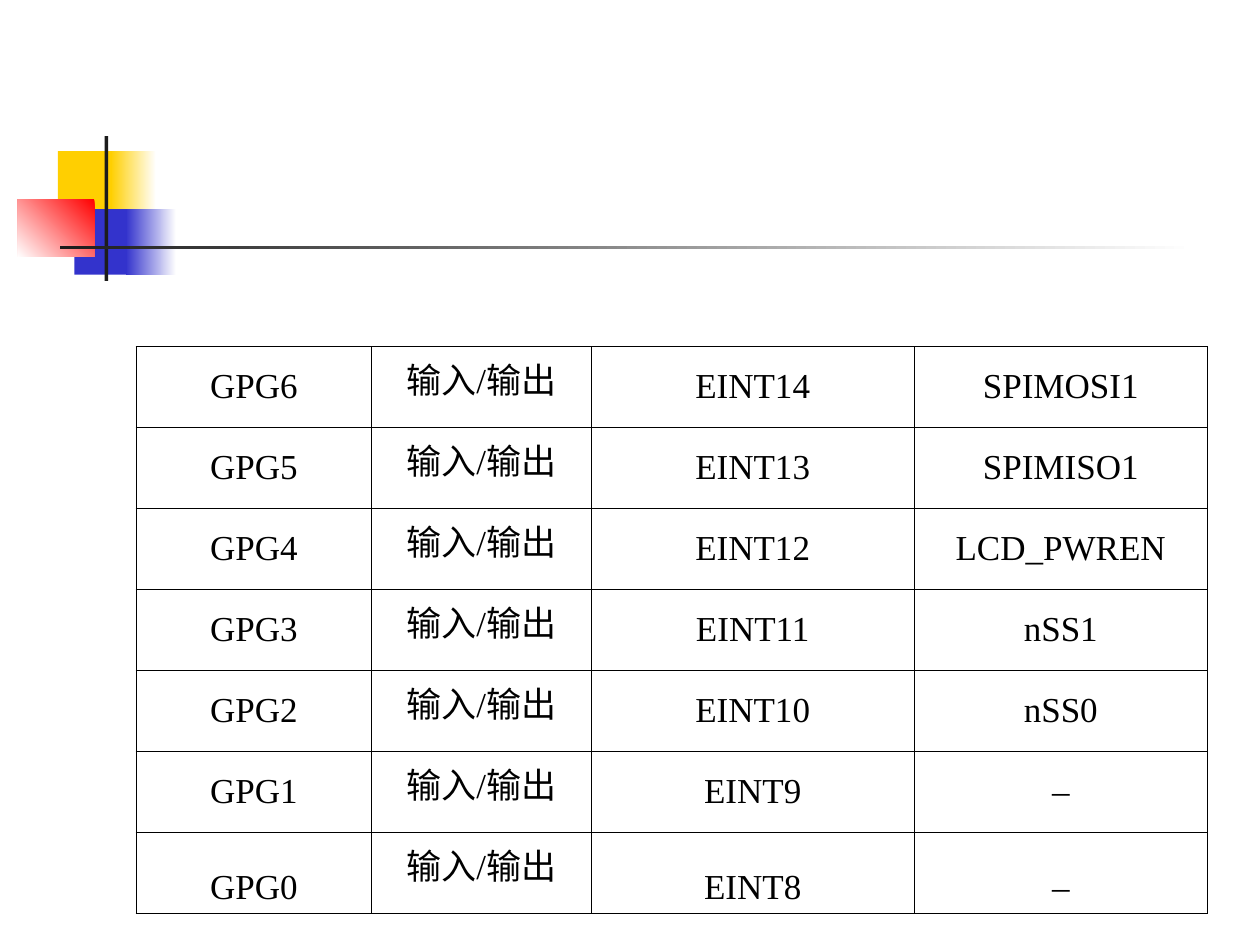
from lxml.etree import SubElement
from pptx import Presentation
from pptx.dml.color import RGBColor
from pptx.enum.shapes import MSO_SHAPE
from pptx.enum.text import MSO_ANCHOR, PP_ALIGN
from pptx.oxml.ns import qn
from pptx.util import Inches, Pt

FONT = "Times New Roman"
BLACK = "000000"
WHITE = "FFFFFF"
GOLD = "FFCF01"
BLUE = "3333CC"
RED = "FF0000"
DARK = "1C1C1C"

# Left, top, width, height, colours (one, or start and end), clockwise angle
BLOCKS = [
    (0.46, 1.2, 0.48, 0.52, [GOLD], 0),
    (0.88, 1.2, 0.36, 0.52, [WHITE, GOLD], 180),
    (0.59, 1.66, 0.46, 0.52, [BLUE], 0),
    (1, 1.66, 0.4, 0.52, [WHITE, BLUE], 180),
    (0.14, 1.58, 0.61, 0.46, [RED, WHITE], 135),
    (0.83, 1.08, 0.03, 1.15, [DARK], 0),
    (0.48, 1.95, 9, 0.03, [WHITE, DARK], 180),
]
WIDTHS = [1.87, 1.74, 2.57, 2.32]
PORTS = [
    ("GPG6", "EINT14", "SPIMOSI1"),
    ("GPG5", "EINT13", "SPIMISO1"),
    ("GPG4", "EINT12", "LCD_PWREN"),
    ("GPG3", "EINT11", "nSS1"),
    ("GPG2", "EINT10", "nSS0"),
    ("GPG1", "EINT9", "–"),
    ("GPG0", "EINT8", "–"),
]
MODE = "输入/输出"


def color(code):
    return RGBColor.from_string(code)


def add_block(slide, left, top, width, height, tones, angle):
    block = slide.shapes.add_shape(
        MSO_SHAPE.RECTANGLE,
        Inches(left), Inches(top), Inches(width), Inches(height))
    block.shadow.inherit = False
    block.line.fill.background()
    fill = block.fill
    if len(tones) == 1:
        fill.solid()
        fill.fore_color.rgb = color(tones[0])
        return
    fill.gradient()
    fill.gradient_angle = 360 - angle
    for place, (stop, tone) in enumerate(zip(fill.gradient_stops, tones)):
        stop.position = place
        stop.color.rgb = color(tone)


def add_border(cell):
    """Draw a thin black line on all four sides; call before filling."""
    props = cell._tc.get_or_add_tcPr()
    for side in ("lnL", "lnR", "lnT", "lnB"):
        line = SubElement(props, qn(f"a:{side}"), w=str(Pt(0.45)))
        fill = SubElement(line, qn("a:solidFill"))
        SubElement(fill, qn("a:srgbClr"), val=BLACK)


def set_cell(cell, text, anchor):
    add_border(cell)
    cell.fill.background()
    cell.vertical_anchor = anchor
    cell.text_frame.text = text
    para = cell.text_frame.paragraphs[0]
    para.alignment = PP_ALIGN.CENTER
    font = para.runs[0].font
    font.name = FONT
    font.size = Pt(20)
    font.color.rgb = color(BLACK)


def add_ports(slide):
    count = len(PORTS)
    table = slide.shapes.add_table(
        count, len(WIDTHS),
        Inches(1.08), Inches(2.75), Inches(8.5), Inches(4.5)).table
    table.first_row = False
    table.horz_banding = False
    for column, width in zip(table.columns, WIDTHS):
        column.width = Inches(width)
    for row, (port, event, extra) in enumerate(PORTS):
        last = row == count - 1
        anchor = MSO_ANCHOR.BOTTOM if last else MSO_ANCHOR.MIDDLE
        for col, text in enumerate((port, MODE, event, extra)):
            place = MSO_ANCHOR.TOP if text == MODE else anchor
            set_cell(table.cell(row, col), text, place)


def main():
    deck = Presentation()
    deck.slide_width = Inches(10)
    deck.slide_height = Inches(7.5)
    slide = deck.slides.add_slide(deck.slide_layouts[6])
    for block in BLOCKS:
        add_block(slide, *block)
    add_ports(slide)
    deck.save("out.pptx")


if __name__ == "__main__":
    main()
